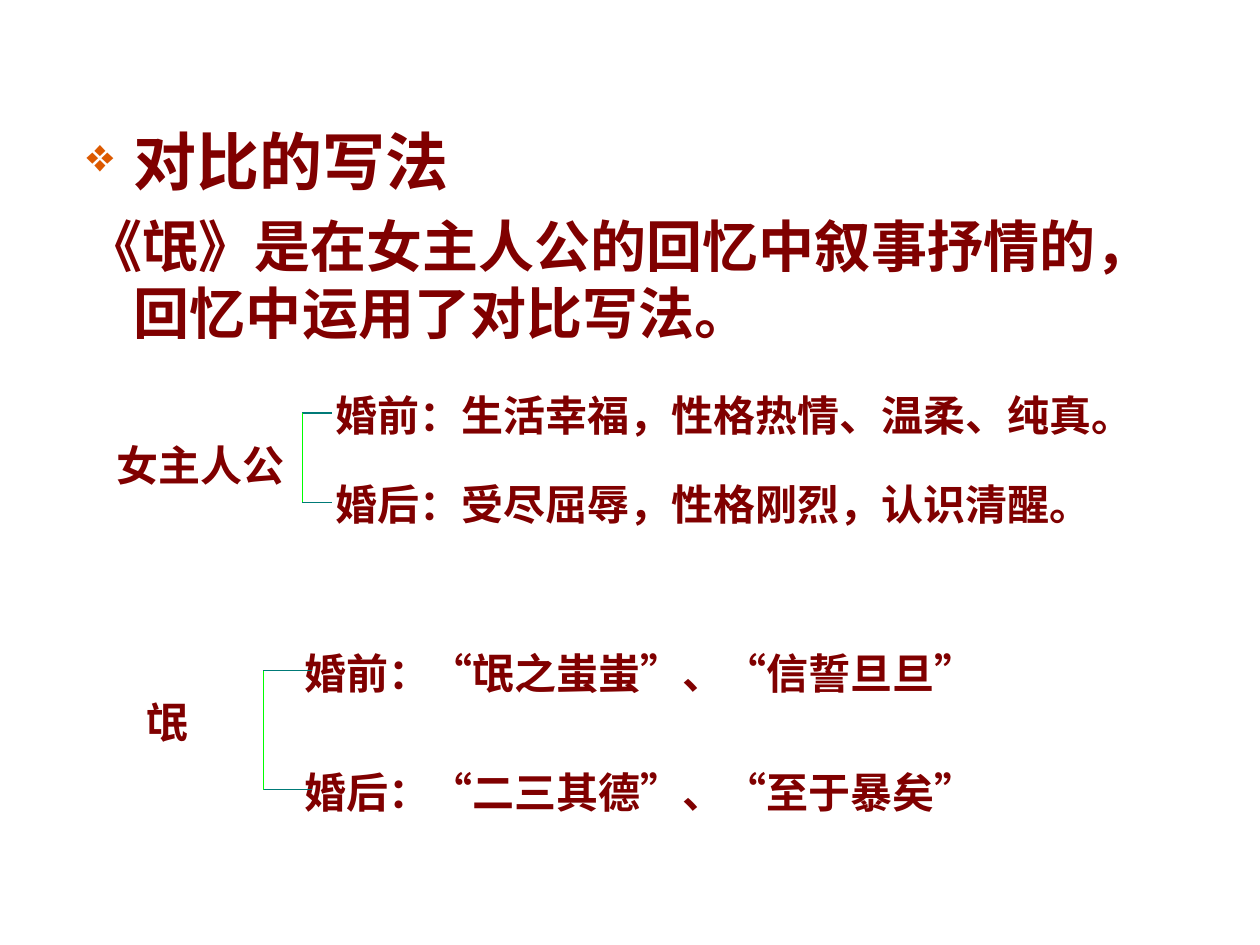
"""Build the slide on contrast in the poem 氓."""
from lxml import etree
from pptx import Presentation
from pptx.dml.color import RGBColor
from pptx.enum.shapes import MSO_CONNECTOR
from pptx.oxml.ns import qn
from pptx.util import Pt

STRAIGHT = MSO_CONNECTOR.STRAIGHT
MAROON = RGBColor(0x80, 0x00, 0x00)
ORANGE = RGBColor(0xDC, 0x59, 0x00)
TEAL = RGBColor(0x00, 0x7A, 0x77)
GREEN = RGBColor(0x00, 0xFF, 0x00)


def add_text(left, top, width, height, lines):
    tf = s.shapes.add_textbox(Pt(left), Pt(top), Pt(width), Pt(height)).text_frame
    tf.word_wrap = True
    for i, (text, size) in enumerate(lines):
        p = tf.paragraphs[0] if i == 0 else tf.add_paragraph()
        p.text = text
        p.font.size = Pt(size)
        p.font.name = "Arial"
        p.font.bold = True
        p.font.color.rgb = MAROON
    return tf


def add_line(x1, y1, x2, y2, color):
    line = s.shapes.add_connector(STRAIGHT, Pt(x1), Pt(y1), Pt(x2), Pt(y2))
    line.line.color.rgb = color
    line.line.width = Pt(0.75)
    etree.SubElement(line._element.spPr, qn("a:effectLst"))


prs = Presentation()
prs.slide_width = Pt(720)
prs.slide_height = Pt(540)
s = prs.slides.add_slide(prs.slide_layouts[6])

tf = add_text(42.5, 66.25, 648, 159, [
    ("对比的写法", 36),
    ("《氓》是在女主人公的回忆中叙事抒情的，回忆中运用了对比写法。", 32),
])
for p in tf.paragraphs:
    pPr = p._p.get_or_add_pPr()
    pPr.set("marL", str(Pt(27)))
    pPr.set("indent", str(Pt(-27)))
heading, body = tf.paragraphs
body.space_before = Pt(8)
bullet = [
    etree.Element(qn("a:buClr")),
    etree.Element(qn("a:buSzPct"), val="75000"),
    etree.Element(qn("a:buChar"), char="❖"),
]
etree.SubElement(bullet[0], qn("a:srgbClr"), val=str(ORANGE))
pPr = heading._p.get_or_add_pPr()
for i, el in enumerate(bullet):
    pPr.insert(i, el)

GROUPS = [
    (("女主人公", 59.75, 247.75, 119), 184.5, (172.75, 190), [
        ("婚前：生活幸福，性格热情、温柔、纯真。", 219, 487.5),
        ("婚后：受尽屈辱，性格刚烈，认识清醒。", 270, 453.5),
    ]),
    (("氓", 76.5, 394.5, 79), 167, (150.5, 178.5), [
        ("婚前：“氓之蚩蚩”、“信誓旦旦”", 366.25, 515.5),
        ("婚后：“二三其德”、“至于暴矣”", 434.25, 493),
    ]),
]
for (name, left, top, width), text_left, (x1, x2), branches in GROUPS:
    add_text(left, top, width, 36, [(name, 24)])
    ys = []
    for text, branch_top, branch_width in branches:
        add_text(text_left, branch_top, branch_width, 36, [(text, 24)])
        y = branch_top + 17
        add_line(x1, y, x2, y, TEAL)
        ys.append(y)
    add_line(x1, ys[0], x1, ys[1], GREEN)

prs.save("out.pptx")
